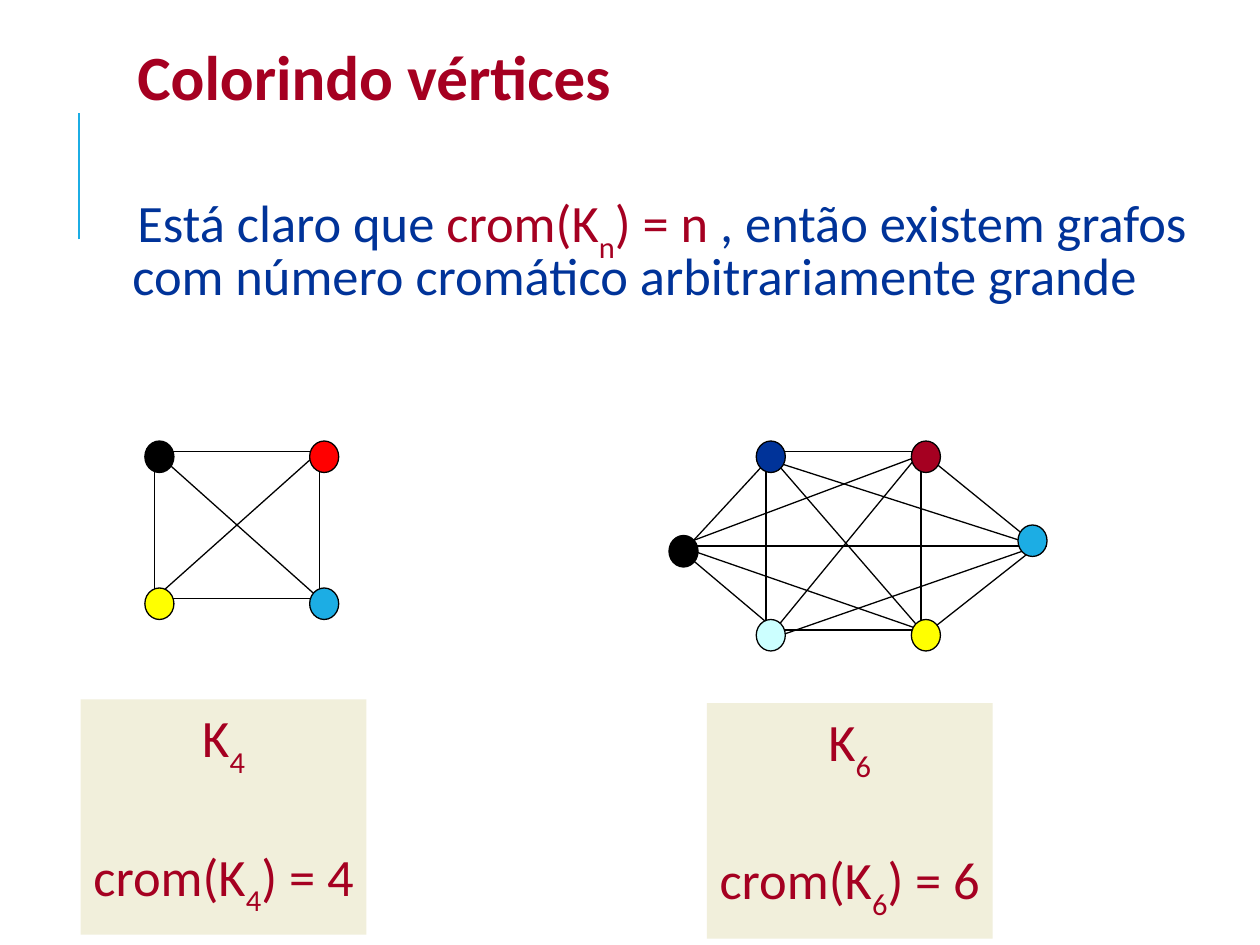
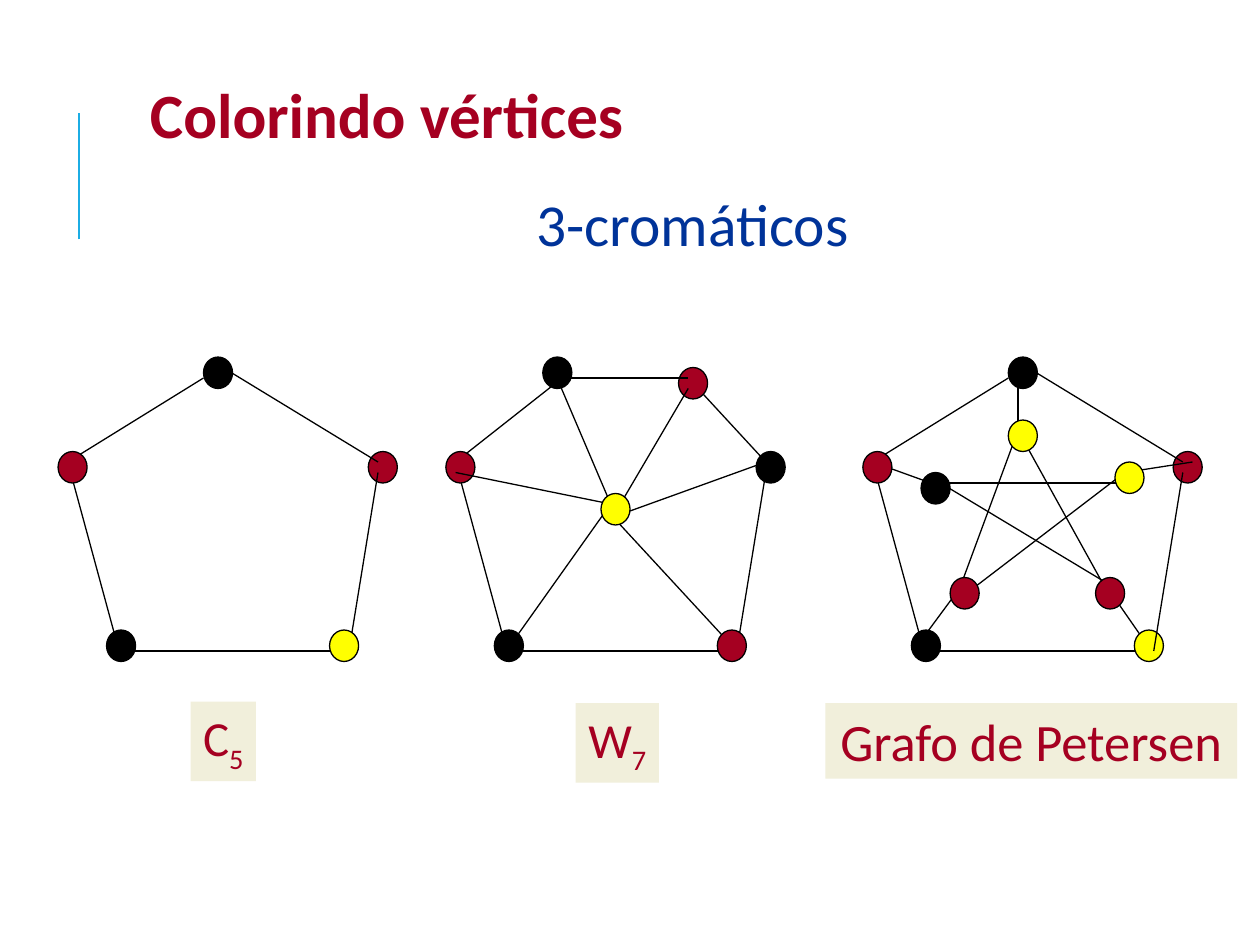
import pptx
import pptx.util
import pptx.dml.color
import pptx.enum.shapes
import pptx.enum.text
import lxml.etree

Pt = pptx.util.Pt
RGB = pptx.dml.color.RGBColor.from_string
ALIGN = pptx.enum.text.PP_ALIGN
KIND = pptx.enum.shapes.MSO_SHAPE
STRAIGHT = pptx.enum.shapes.MSO_CONNECTOR.STRAIGHT
DRAW = "{http://schemas.openxmlformats.org/drawingml/2006/main}"

HUES = {
    "wine": "A50021", "navy": "003399", "sky": "1CADE4", "ice": "CCFFFF",
    "red": "FF0000", "gold": "FFFF00", "black": "000000", "sand": "F1EFDB",
}
FRAME = {
    "auto_size": pptx.enum.text.MSO_AUTO_SIZE.NONE,
    "vertical_anchor": pptx.enum.text.MSO_ANCHOR.TOP,
    "margin_top": Pt(3.6), "margin_bottom": Pt(3.6),
}
HOLDER = {**FRAME, "word_wrap": True, "margin_left": Pt(3.6), "margin_right": Pt(3.6)}
LABEL = {**FRAME, "word_wrap": False, "margin_left": Pt(7.2), "margin_right": Pt(7.2)}
HEAD = {"line_spacing": 0.8, "space_before": Pt(0), "space_after": Pt(2)}

# Graphs lie on a grid; a node spans 3 by 3 cells.
CELL_X, CELL_Y, SPAN = 5.54, 6, 3


def write(para, runs, size, bold=False):
    """Add runs given as (text, hue, baseline shift in percent)."""
    for text, hue, shift in runs:
        run = para.add_run()
        run.text = text
        form = {"name": "Calibri", "size": Pt(size), "bold": bold}
        for key, val in form.items():
            setattr(run.font, key, val)
        run.font.color.rgb = RGB(HUES[hue])
        if shift:
            run._r.get_or_add_rPr().set("baseline", str(shift * 1000))


def link(slide, ends, hue="black", width=0.75):
    """Draw a straight line between ends (x1, y1, x2, y2) in points."""
    line = slide.shapes.add_connector(STRAIGHT, *[Pt(end) for end in ends])
    line.line.color.rgb = RGB(HUES[hue])
    line.line.width = Pt(width)
    lxml.etree.SubElement(line.element.spPr, DRAW + "effectLst")
    return line


# Each graph lists its parts from back to front:
# an edge is (x1, y1, x2, y2), a node is (x, y, hue).
K4 = [
    (1, 44, 1, 58), (1, 43, 18, 57), (2, 43, 18, 43),
    (1, 57, 18, 43), (2, 57, 19, 57), (18, 44, 18, 58),
    (0, 42, "black"), (0, 56, "gold"), (17, 56, "sky"), (17, 42, "red"),
]
K6 = [
    (1, 53, 10, 44), (2, 53, 11, 60), (1, 52, 26, 60), (1, 52, 39, 52),
    (1, 52, 27, 43), (10, 43, 26, 43), (26, 43, 38, 52), (38, 52, 27, 60),
    (26, 60, 10, 60), (10, 60, 10, 44), (10, 61, 26, 43), (10, 61, 38, 52),
    (26, 43, 26, 60), (11, 44, 38, 52), (11, 44, 26, 60),
    (9, 42, "navy"), (25, 42, "wine"), (36, 50, "sky"),
    (0, 51, "black"), (9, 59, "ice"), (25, 59, "gold"),
]
# Parts shared by the three graphs with five outer corners
BASE = [(5, 60, "black"), (7, 62, 30, 62), (1, 44, 6, 61)]
ROOF = [(32, 43, "wine"), (15, 34, "black"), (15, 36, 1, 44), (17, 35, 33, 44)]
LEFT = (0, 43, "wine")
RIGHT = (33, 45, 30, 62)
C5 = BASE + ROOF + [LEFT, RIGHT, (28, 60, "gold")]
W7 = [
    (33, 44, 18, 49), (17, 49, 29, 61), (32, 43, "black"), (10, 34, "black"),
    *BASE, (12, 36, 1, 44), (26, 37, 33, 44), LEFT, RIGHT,
    (28, 60, "wine"), (24, 35, "wine"),
    (12, 36, 25, 36), (11, 35, 17, 48), (25, 37, 18, 48),
    (17, 48, 7, 61), (1, 45, 17, 48), (16, 47, "gold"),
]
STAR = [
    *BASE, *ROOF, (26, 57, 29, 61), (10, 56, 6, 61), (1, 44, 7, 46),
    (16, 35, 16, 41), (27, 45, 34, 44), (7, 46, 28, 46), (8, 46, 26, 56),
    (27, 45, 10, 57), (10, 56, 16, 41), (16, 41, 25, 56),
    (9, 55, "wine"), (24, 55, "wine"), (6, 45, "black"), LEFT,
    (28, 60, "gold"), (26, 44, "gold"), (15, 40, "gold"), RIGHT,
]

# A label is its box, text size and lines of runs.
SLIDES = [
    {
        "title": (64.8, 26, 643.7, 60),
        "body": (64.8, 108, 643.7, 88),
        "size": 30, "align": ALIGN.LEFT,
        "runs": [
            ("Está claro que ", "navy", 0), ("crom(K", "wine", 0),
            ("n", "wine", -30), (") = n", "wine", 0),
            (" , então existem grafos com número cromático "
             "arbitrariamente grande", "navy", 0),
        ],
        "graphs": [(82.8, K4), (382.3, K6)],
        "labels": [
            (box, 30, [
                [("K", "wine", 0), (num, "wine", -30)],
                [("crom(K", "wine", 0), (num, "wine", -30), (f") = {num}", "wine", 0)],
            ])
            for box, num in [((46.1, 399.6, 163.4, 134.6), "4"),
                             ((403.9, 401.8, 163.4, 134.6), "6")]
        ],
    },
    {
        "title": (72, 48.2, 637.2, 60),
        "body": (72, 111, 637.2, 51),
        "size": 34, "align": ALIGN.CENTER,
        "runs": [("3-cromáticos", "navy", 0)],
        "graphs": [(33.2, C5), (254.8, W7), (493.1, STAR)],
        "labels": [
            ((108.9, 401, 37.4, 45.4), 28, [[("C", "wine", 0), ("5", "wine", -25)]]),
            ((329, 401.8, 47.5, 45.4), 28, [[("W", "wine", 0), ("7", "wine", -25)]]),
            ((471.6, 401.8, 235.4, 43.2), 30, [[("Grafo de Petersen", "wine", 0)]]),
        ],
    },
]

deck = pptx.Presentation()
deck.slide_width, deck.slide_height = Pt(720), Pt(540)
layout = deck.slide_layouts[1]

for page in SLIDES:
    slide = deck.slides.add_slide(layout)
    if len(deck.slides) == 1:
        # The side bar belongs to the layout, so both slides show it.
        bar = link(slide, (45.2, 136.8, 45.2, 64.8), "sky", 1.5)
        bar.element.nvCxnSpPr.cNvPr.id = 20
        layout.shapes.element.append(bar.element)

    title, body = slide.shapes.title, slide.placeholders[1]
    heads = [
        (title, page["title"], [("Colorindo vértices", "wine", 0)], 36, ALIGN.LEFT),
        (body, page["body"], page["runs"], page["size"], page["align"]),
    ]
    for shape, box, runs, size, align in heads:
        for key, val in zip(("left", "top", "width", "height"), box):
            setattr(shape, key, Pt(val))
        for key, val in HOLDER.items():
            setattr(shape.text_frame, key, val)
        para = shape.text_frame.paragraphs[0]
        for key, val in {**HEAD, "alignment": align}.items():
            setattr(para, key, val)
        props = para._p.get_or_add_pPr()
        props.set("marL", str(Pt(7.2)))
        props.set("indent", str(Pt(2.9)))
        lxml.etree.SubElement(props, DRAW + "buNone")
        write(para, runs, size, bold=shape is title)

    for left, parts in page["graphs"]:
        for part in parts:
            if len(part) == 4:
                x1, y1, x2, y2 = part
                link(slide, (left + x1 * CELL_X, y1 * CELL_Y,
                             left + x2 * CELL_X, y2 * CELL_Y))
                continue
            x, y, hue = part
            node = slide.shapes.add_shape(
                KIND.FLOWCHART_CONNECTOR, Pt(left + x * CELL_X), Pt(y * CELL_Y),
                Pt(SPAN * CELL_X), Pt(SPAN * CELL_Y))
            node.shadow.inherit = False
            node.fill.solid()
            node.fill.fore_color.rgb = RGB(HUES[hue])
            node.line.color.rgb = RGB(HUES["black"])
            node.line.width = Pt(0.75)

    for box, size, lines in page["labels"]:
        label = slide.shapes.add_shape(KIND.RECTANGLE, *[Pt(val) for val in box])
        label.shadow.inherit = False
        label.fill.solid()
        label.fill.fore_color.rgb = RGB(HUES["sand"])
        label.line.fill.background()
        frame = label.text_frame
        for key, val in LABEL.items():
            setattr(frame, key, val)
        for row, runs in enumerate(lines):
            para = frame.add_paragraph() if row else frame.paragraphs[0]
            para.alignment = ALIGN.CENTER
            para.space_before = Pt(36.5 if row else 0)
            write(para, runs, size)

deck.save("out.pptx")
